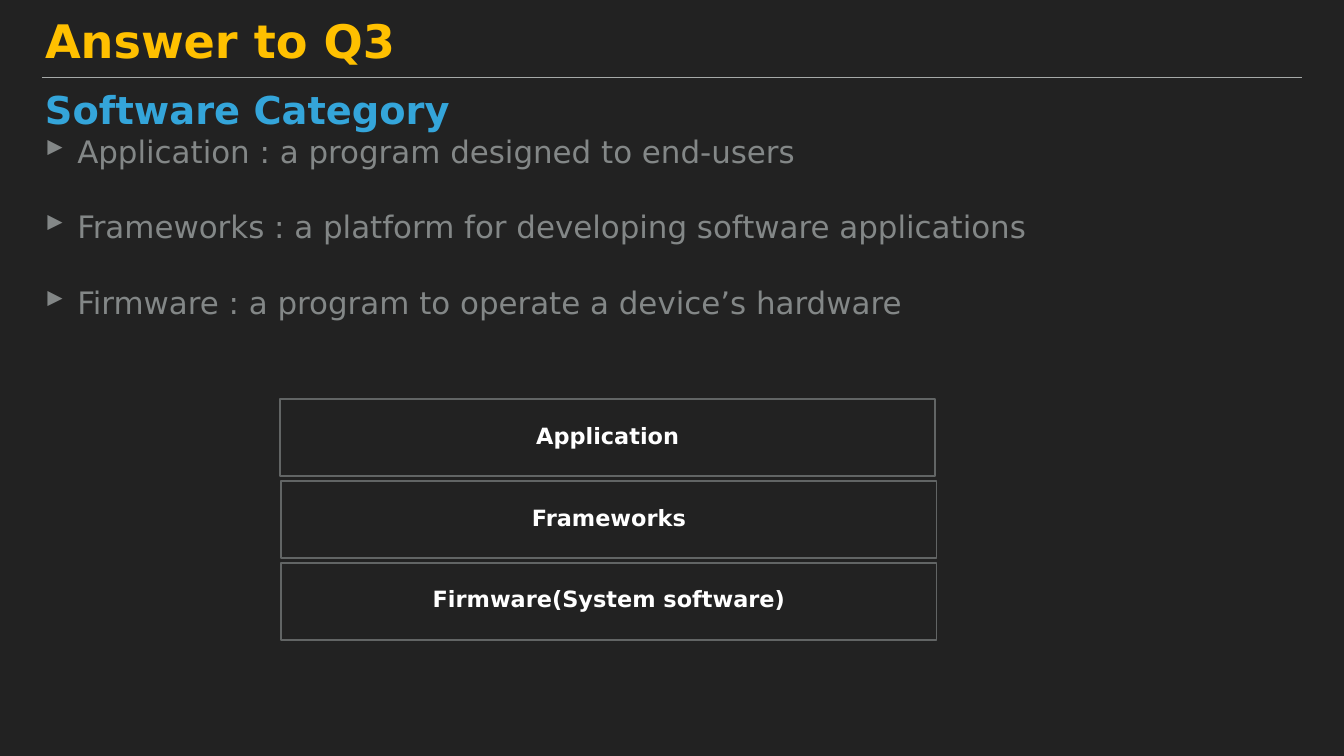
from dataclasses import dataclass

from lxml.etree import SubElement
from pptx import Presentation
from pptx.dml.color import RGBColor
from pptx.enum.shapes import MSO_CONNECTOR as CONN, MSO_SHAPE as SHAPE
from pptx.enum.text import MSO_ANCHOR as ANCHOR, MSO_AUTO_SIZE as FIT, PP_ALIGN as ALIGN
from pptx.oxml.ns import qn
from pptx.util import Inches, Pt

COLORS = {
    "background": "222222", "title": "FFC000", "heading": "34A5DA",
    "body": "838787", "layer": "FFFFFF", "border": "626565", "rule": "A6AAA9",
}
FONT = "DejaVu Sans"
WIDTH, HEIGHT = Inches(26.67), Inches(15)
COLS, ROWS = 32, 18


@dataclass
class Box:
    """An area in columns and rows of the slide grid."""
    col: float
    row: float
    cols: float
    rows: float

    def emu(self) -> tuple[int, int, int, int]:
        return x(self.col), y(self.row), x(self.cols), y(self.rows)


@dataclass
class Style:
    size: float
    color: str
    bold: bool = True
    spacing: float = 0.8
    align: ALIGN = ALIGN.LEFT
    anchor: ANCHOR = ANCHOR.TOP


@dataclass
class Layer:
    label: str
    col: float = 6.7


TITLE = Style(66, "title", anchor=ANCHOR.BOTTOM)
HEADING = Style(54.8, "heading")
BODY = Style(44.2, "body", bold=False, spacing=1.0)
LAYER = Style(32, "layer", align=ALIGN.CENTER, anchor=ANCHOR.MIDDLE)

POINTS = [
    "Application : a program designed to end-users",
    "Frameworks : a platform for developing software applications",
    "Firmware : a program to operate a device’s hardware",
]
LAYERS = [Layer("Application", 6.67), Layer("Frameworks"), Layer("Firmware(System software)")]
LAYER_TOP, LAYER_PITCH = 9.5, 1.95


def x(cols: float) -> int:
    return round(WIDTH * cols / COLS)


def y(rows: float) -> int:
    return round(HEIGHT * rows / ROWS)


def rgb(name: str) -> RGBColor:
    return RGBColor.from_string(COLORS[name])


def write(sp, lines: list[str], style: Style) -> None:
    tf = sp.text_frame
    frame = {"word_wrap": True, "auto_size": FIT.NONE, "vertical_anchor": style.anchor}
    frame |= {f"margin_{side}": Inches(0.06) for side in ("left", "top", "right", "bottom")}
    for name, value in frame.items():
        setattr(tf, name, value)
    for i, line in enumerate(lines):
        p = tf.add_paragraph() if i else tf.paragraphs[0]
        p.alignment, p.line_spacing = style.align, style.spacing
        r = p.add_run()
        r.text = line
        for name, value in {"name": FONT, "size": Pt(style.size), "bold": style.bold}.items():
            setattr(r.font, name, value)
        r.font.color.rgb = rgb(style.color)


def add_text(s, box: Box, lines: list[str], style: Style):
    sp = s.shapes.add_textbox(*box.emu())
    write(sp, lines, style)
    return sp


def add_bullets(sp, color: str) -> None:
    for p in sp.text_frame.paragraphs:
        p.space_after = Pt(55)
        pPr = p._p.get_or_add_pPr()
        pPr.set("marL", str(Inches(0.64)))
        pPr.set("indent", str(-Inches(0.64)))
        SubElement(SubElement(pPr, qn("a:buClr")), qn("a:srgbClr"), val=COLORS[color])
        SubElement(pPr, qn("a:buChar"), char="▸")


def add_rule(s, row: float) -> None:
    line = s.shapes.add_connector(CONN.STRAIGHT, x(1), y(row), x(31), y(row))
    line.line.color.rgb, line.line.width = rgb("rule"), Pt(2)
    SubElement(line._element.spPr, qn("a:effectLst"))


def add_layer(s, layer: Layer, index: int) -> None:
    box = Box(layer.col, LAYER_TOP + index * LAYER_PITCH, 15.6, 1.84)
    sp = s.shapes.add_shape(SHAPE.RECTANGLE, *box.emu())
    sp.shadow.inherit = False
    sp.fill.background()
    sp.line.color.rgb, sp.line.width = rgb("border"), Pt(2.5)
    write(sp, [layer.label], LAYER)


def main() -> None:
    prs = Presentation()
    prs.slide_width, prs.slide_height = WIDTH, HEIGHT
    s = prs.slides.add_slide(prs.slide_layouts[5])
    s.background.fill.solid()
    s.background.fill.fore_color.rgb = rgb("background")

    # Title and rule
    title = s.shapes.title
    title.left, title.top, title.width, title.height = Box(1, 0.23, 27.5, 1.44).emu()
    write(title, ["Answer to Q3"], TITLE)
    add_rule(s, 1.84)

    # Heading and definitions
    add_text(s, Box(1, 2.2, 30, 1.33), ["Software Category"], HEADING)
    add_bullets(add_text(s, Box(1, 3.08, 30, 2.92), POINTS, BODY), "body")

    # Software stack, built from the bottom up
    for index, layer in reversed(list(enumerate(LAYERS))):
        add_layer(s, layer, index)

    prs.save("out.pptx")


if __name__ == "__main__":
    main()
